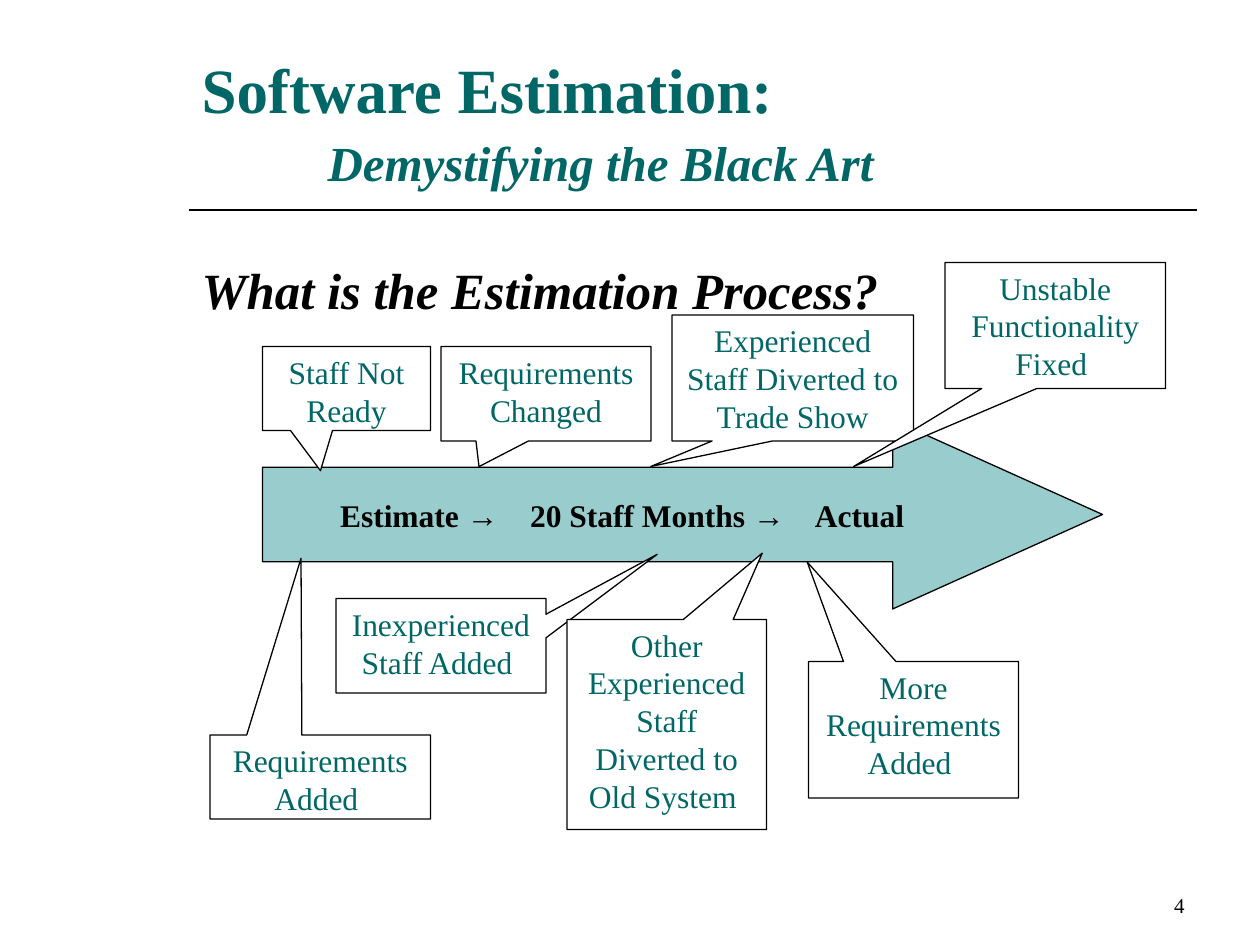
"""Build the slide on the events that drive an estimate to its actual value."""
from lxml.etree import SubElement
from pptx import Presentation
from pptx.dml.color import RGBColor
from pptx.enum.shapes import MSO_CONNECTOR, MSO_SHAPE
from pptx.enum.text import MSO_ANCHOR, MSO_AUTO_SIZE, PP_ALIGN
from pptx.oxml.ns import qn
from pptx.util import Pt

COLORS = {"teal": "006666", "mint": "99CCCC", "black": "000000", "white": "FFFFFF"}
SERIF, SANS = "Times New Roman", "Arial"
NOTES = [
    ("Staff Not Ready", (150, 198, 96, 48), (-0.155, 0.979)),
    ("Requirements Changed", (252, 198, 120, 54), (-0.319, 0.771)),
    ("Experienced Staff Diverted to Trade Show", (384, 180, 138, 72), (-0.588, 0.703)),
    ("Unstable Functionality Fixed ", (540, 150, 126, 72), (-0.915, 1.12)),
    ("Requirements Added ", (120, 420, 126, 48), (-0.087, -2.604)),
    ("Inexperienced Staff Added ", (192, 342, 120, 54), (1.03, -0.968)),
    ("Other Experienced Staff Diverted to Old System ", (324, 354, 114, 120), (0.479, -0.816)),
    ("More Requirements Added ", (462, 378, 120, 78), (-0.506, -1.228)),
]


def color(name):
    return RGBColor.from_string(COLORS[name])


def put(para, text, size=18, ink="teal", face=SERIF, bold=False, slant=False):
    run = para.add_run()
    run.text = text
    font = run.font
    font.name, font.size, font.bold, font.italic = face, Pt(size), bold, slant
    font.color.rgb = color(ink)


def set_tabs(para, *stops):
    tabs = SubElement(para._p.get_or_add_pPr(), qn("a:tabLst"))
    for stop in stops:
        SubElement(tabs, qn("a:tab"), pos=str(Pt(stop)), algn="l")


def set_frame(shape, anchor, align):
    frame = shape.text_frame
    frame.word_wrap = True
    frame.auto_size = MSO_AUTO_SIZE.NONE
    frame.vertical_anchor = anchor
    para = frame.paragraphs[0]
    para.alignment = align
    return para


def place(holder, box, anchor):
    holder.left, holder.top, holder.width, holder.height = map(Pt, box)
    return set_frame(holder, anchor, PP_ALIGN.LEFT)


def add_shape(slide, kind, box, fill, points):
    shape = slide.shapes.add_shape(kind, *map(Pt, box))
    shape.shadow.inherit = False
    shape.fill.solid()
    shape.fill.fore_color.rgb = color(fill)
    shape.line.color.rgb = color("black")
    shape.line.width = Pt(0.75)
    for spot, value in enumerate(points):
        shape.adjustments[spot] = value
    return shape


def add_title(slide):
    para = place(slide.shapes.title, (108, 24, 576, 90), MSO_ANCHOR.BOTTOM)
    set_tabs(para, 72)
    put(para, "Software Estimation:", size=36, bold=True)
    para.add_line_break()
    put(para, "\t", size=32, bold=True)
    put(para, "Demystifying the Black Art", size=28, bold=True, slant=True)


def add_rule(slide):
    rule = slide.shapes.add_connector(
        MSO_CONNECTOR.STRAIGHT, Pt(108), Pt(120), Pt(684), Pt(120))
    rule.line.color.rgb = color("black")
    rule.line.width = Pt(1)
    SubElement(rule._element.spPr, qn("a:effectLst"))


def add_body(slide):
    para = place(slide.placeholders[1], (108, 144, 576, 324), MSO_ANCHOR.TOP)
    para.space_before = Pt(7.3)
    props = para._p.get_or_add_pPr()
    props.set("marL", str(Pt(27)))
    props.set("indent", str(Pt(-27)))
    SubElement(props, qn("a:buNone"))
    put(para, "What is the Estimation Process?", size=29, ink="black", bold=True, slant=True)


def add_arrow(slide):
    arrow = add_shape(slide, MSO_SHAPE.RIGHT_ARROW, (150, 240, 480, 108), "mint", (0.5, 1.11))
    para = set_frame(arrow, MSO_ANCHOR.MIDDLE, PP_ALIGN.LEFT)
    arrow.text_frame.margin_left = Pt(44.3)
    set_tabs(para, 108.6, 271.4)
    for text, face in (("Estimate ", SERIF), ("→", SANS), ("\t20 Staff Months ", SERIF),
                       ("→", SANS), ("\tActual", SERIF)):
        put(para, text, ink="black", face=face, bold=True)


def add_note(slide, text, box, tip):
    note = add_shape(slide, MSO_SHAPE.RECTANGULAR_CALLOUT, box, "white", tip)
    put(set_frame(note, MSO_ANCHOR.TOP, PP_ALIGN.CENTER), text)


def add_page(slide):
    page = slide.shapes.add_textbox(Pt(516), Pt(492), Pt(168), Pt(36))
    put(set_frame(page, MSO_ANCHOR.BOTTOM, PP_ALIGN.RIGHT), "4", size=12, ink="black")


def main():
    deck = Presentation()
    deck.slide_width, deck.slide_height = Pt(720), Pt(540)
    slide = deck.slides.add_slide(deck.slide_layouts[1])
    add_rule(slide)
    add_title(slide)
    add_body(slide)
    add_arrow(slide)
    for text, box, tip in NOTES:
        add_note(slide, text, box, tip)
    add_page(slide)
    deck.save("out.pptx")


if __name__ == "__main__":
    main()
